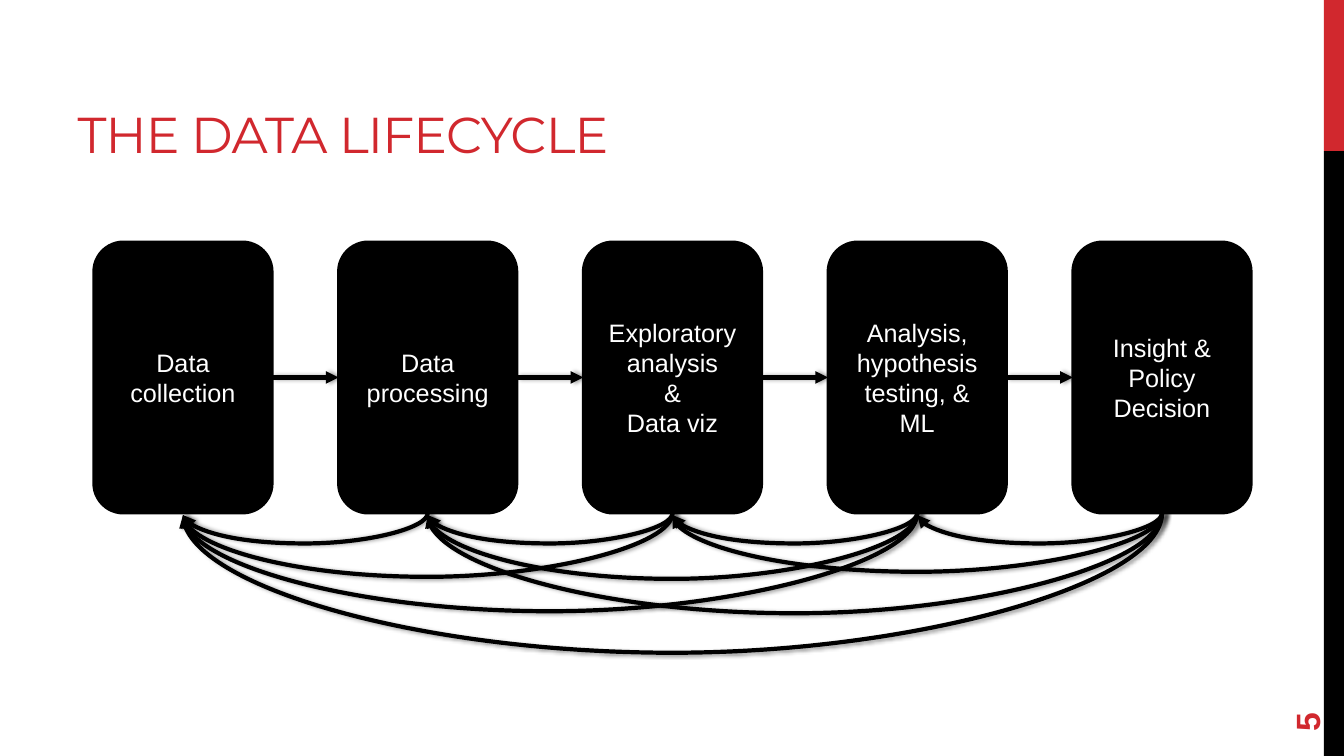
import pptx
import pptx.util
import pptx.dml.color
import pptx.enum.shapes
import pptx.enum.text
import pptx.oxml
import pptx.oxml.ns
from dataclasses import dataclass
from lxml import etree

Inches = pptx.util.Inches
Pt = pptx.util.Pt
MSO_SHAPE = pptx.enum.shapes.MSO_SHAPE
MSO_CONNECTOR = pptx.enum.shapes.MSO_CONNECTOR
PP_ALIGN = pptx.enum.text.PP_ALIGN
MSO_ANCHOR = pptx.enum.text.MSO_ANCHOR
qn = pptx.oxml.ns.qn


@dataclass(frozen=True)
class Theme:
    red: str = "D1282E"
    black: str = "000000"
    white: str = "FFFFFF"
    heading_font: str = "Montserrat"
    body_font: str = "Arial"
    title_size: int = 36
    number_size: int = 24
    stage_size: int = 18
    outline: int = 2
    arrow: int = 3


THEME = Theme()

# Row of stages, in inches
FIRST_LEFT, LAST_LEFT = 0.93, 10.64
STAGE_TOP, STAGE_W, STAGE_H = 2.4, 1.77, 2.69
STAGES = [
    ["Data collection"],
    ["Data processing"],
    ["Exploratory analysis", "&", "Data viz"],
    ["Analysis, hypothesis testing, & ML"],
    ["Insight & Policy Decision"],
]
PITCH = (LAST_LEFT - FIRST_LEFT) / (len(STAGES) - 1)

# Depth of each feedback curve: (from stage, to stage) -> inches
LOOP_DEPTHS = {
    (1, 0): 0.3,
    (2, 1): 0.3, (2, 0): 0.63,
    (3, 2): 0.3, (3, 1): 0.65, (3, 0): 0.97,
    (4, 3): 0.3, (4, 2): 0.58, (4, 1): 0.99, (4, 0): 1.38,
}
LOOP_DROP = 0.02


def rgb(value):
    return pptx.dml.color.RGBColor.from_string(value)


def add_run(p, text, font, size, color, bold=False):
    r = p.add_run()
    r.text = text
    r.font.name = font
    r.font.size = Pt(size)
    r.font.color.rgb = rgb(color)
    r.font.bold = bold
    return r


def add_title(s, text):
    sp = s.shapes.title
    sp.left, sp.top = Inches(0.67), Inches(0.17)
    sp.width, sp.height = Inches(8.44), Inches(1.5)
    tf = sp.text_frame
    tf.auto_size = pptx.enum.text.MSO_AUTO_SIZE.NONE
    tf.vertical_anchor = MSO_ANCHOR.BOTTOM
    p = tf.paragraphs[0]
    p.alignment = PP_ALIGN.LEFT
    r = add_run(p, text, THEME.heading_font, THEME.title_size, THEME.red)
    r.font._element.set("spc", "-60")


def add_bar(s, top, height, color):
    sp = s.shapes.add_shape(MSO_SHAPE.RECTANGLE, Inches(13.13), Inches(top),
                            Inches(0.2), Inches(height))
    sp.shadow.inherit = False
    sp.fill.solid()
    sp.fill.fore_color.rgb = rgb(color)
    sp.line.fill.background()


def add_slide_number(s, text):
    sp = s.shapes.add_textbox(Inches(12.24), Inches(6.37), Inches(1.44), Inches(0.53))
    sp.rotation = 270
    tf = sp.text_frame
    tf.word_wrap = True
    tf.vertical_anchor = MSO_ANCHOR.MIDDLE
    add_run(tf.paragraphs[0], text, THEME.body_font, THEME.number_size, THEME.red, bold=True)


def add_stage(s, index, lines):
    sp = s.shapes.add_shape(MSO_SHAPE.ROUNDED_RECTANGLE,
                            Inches(FIRST_LEFT + index * PITCH), Inches(STAGE_TOP),
                            Inches(STAGE_W), Inches(STAGE_H))
    sp.shadow.inherit = False
    sp.fill.solid()
    sp.fill.fore_color.rgb = rgb(THEME.black)
    sp.line.color.rgb = rgb(THEME.black)
    sp.line.width = Pt(THEME.outline)
    tf = sp.text_frame
    tf.word_wrap = True
    tf.vertical_anchor = MSO_ANCHOR.MIDDLE
    for i, line in enumerate(lines):
        p = tf.add_paragraph() if i else tf.paragraphs[0]
        p.alignment = PP_ALIGN.CENTER
        add_run(p, line, THEME.body_font, THEME.stage_size, THEME.white)
    return sp


def style_arrow(cxn):
    cxn.line.color.rgb = rgb(THEME.black)
    cxn.line.width = Pt(THEME.arrow)
    etree.SubElement(cxn.line._get_or_add_ln(), qn("a:tailEnd"), type="triangle")
    # Soft shadow
    effects = etree.SubElement(cxn._element.spPr, qn("a:effectLst"))
    shadow = etree.SubElement(effects, qn("a:outerShdw"), blurRad=str(Pt(3.1)),
                              dist=str(Pt(1.8)), dir="0", rotWithShape="0")
    color = etree.SubElement(shadow, qn("a:srgbClr"), val=THEME.black)
    etree.SubElement(color, qn("a:alpha"), val="40000")


def add_step_arrow(s, source, target):
    cxn = s.shapes.add_connector(MSO_CONNECTOR.STRAIGHT, 0, 0, 0, 0)
    cxn.begin_connect(source, 3)
    cxn.end_connect(target, 1)
    style_arrow(cxn)


def add_loop(s, source, target, depth):
    # A narrow, tall curve turned a quarter so that it bulges downwards
    length = (source - target) * PITCH
    mid_x = FIRST_LEFT + STAGE_W / 2 + (source + target) / 2 * PITCH
    mid_y = STAGE_TOP + STAGE_H + LOOP_DROP / 2
    left, top = mid_x - LOOP_DROP / 2, mid_y - length / 2
    cxn = s.shapes.add_connector(MSO_CONNECTOR.CURVE, Inches(left), Inches(top),
                                 Inches(left + LOOP_DROP), Inches(top + length))
    spPr = cxn._element.spPr
    spPr.find(qn("a:xfrm")).set("rot", "5400000")
    guides = spPr.find(qn("a:prstGeom")).find(qn("a:avLst"))
    etree.SubElement(guides, qn("a:gd"), name="adj1",
                     fmla=f"val {round(depth / LOOP_DROP * 100000)}")
    style_arrow(cxn)


def main():
    prs = pptx.Presentation()
    prs.slide_width, prs.slide_height = Inches(13.33), Inches(7.5)
    s = prs.slides.add_slide(prs.slide_layouts[5])

    # Frame of the slide
    add_bar(s, 0, 1.5, THEME.red)
    add_bar(s, 1.5, 6, THEME.black)
    add_title(s, "THE DATA LIFECYCLE")
    add_slide_number(s, "5")

    # Stages and the forward steps between them
    stages = [add_stage(s, i, lines) for i, lines in enumerate(STAGES)]
    for source, target in zip(stages, stages[1:]):
        add_step_arrow(s, source, target)

    # Feedback to earlier stages
    for (source, target), depth in LOOP_DEPTHS.items():
        add_loop(s, source, target, depth)

    prs.save("out.pptx")


if __name__ == "__main__":
    main()
